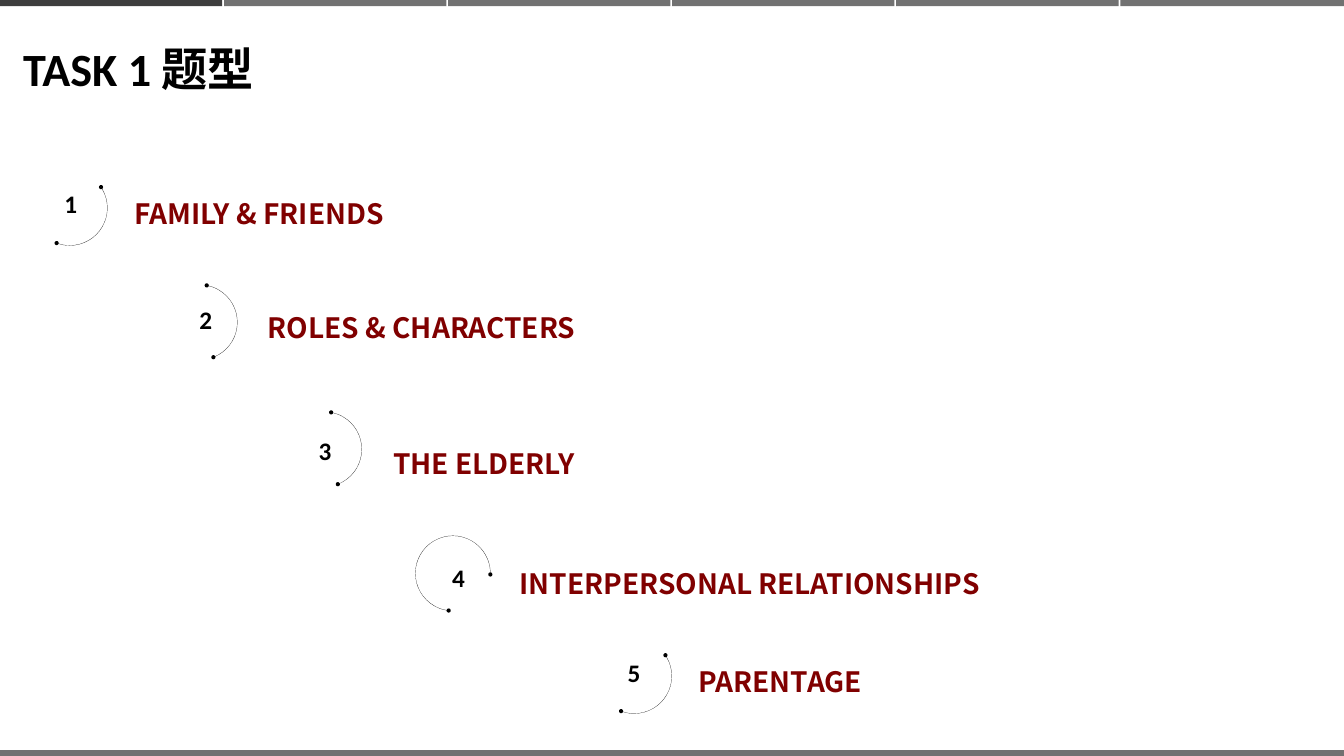
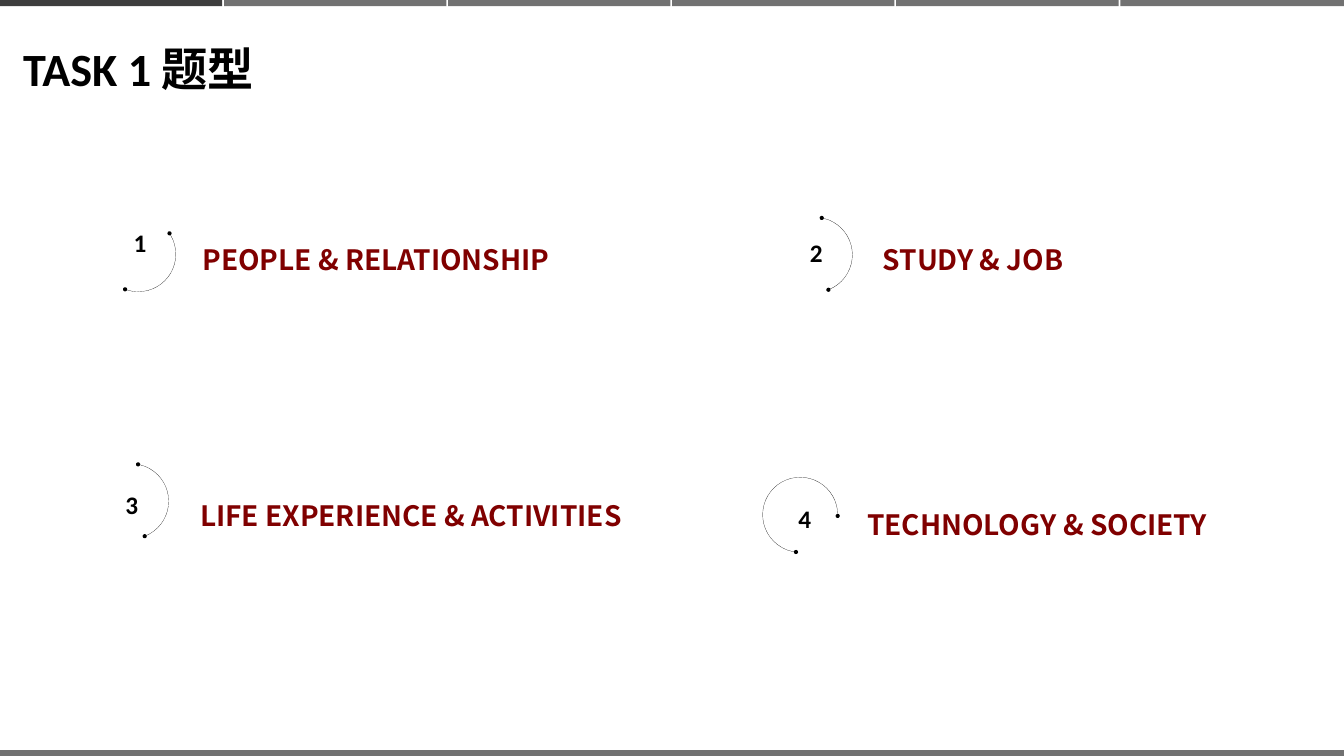
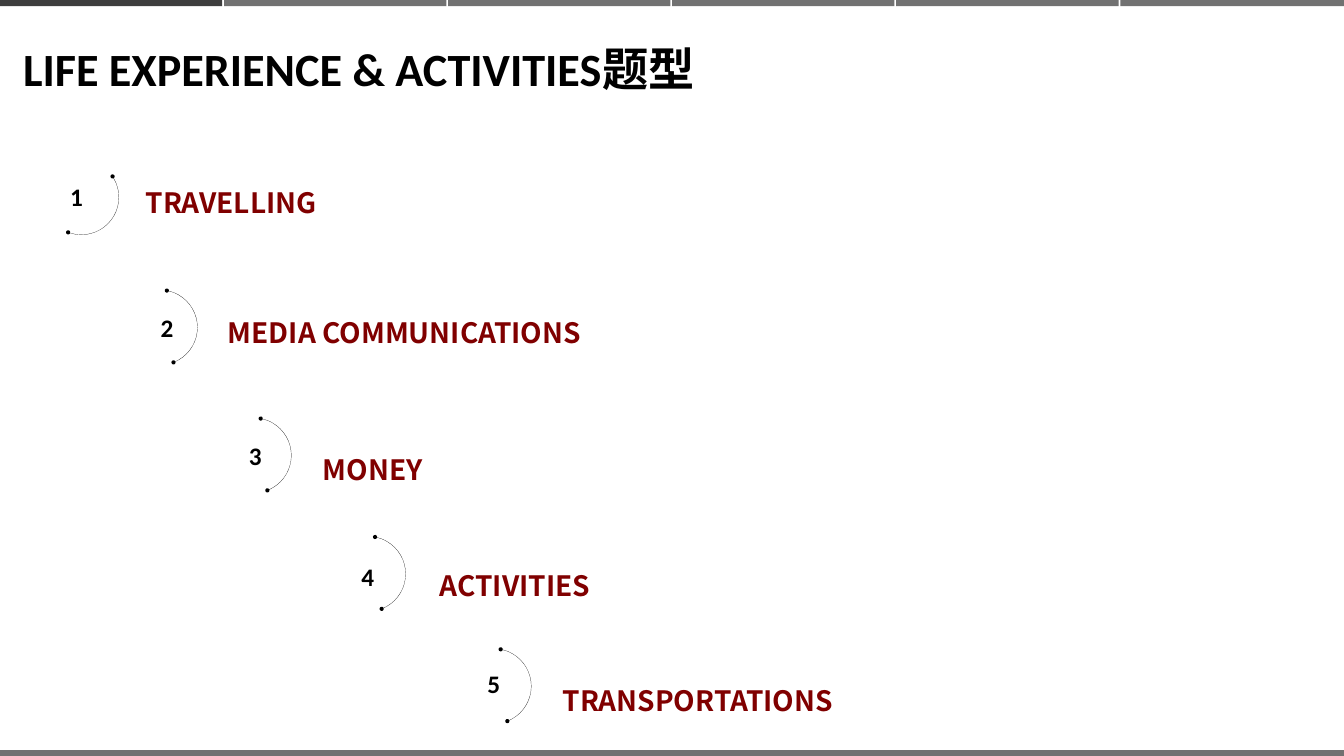
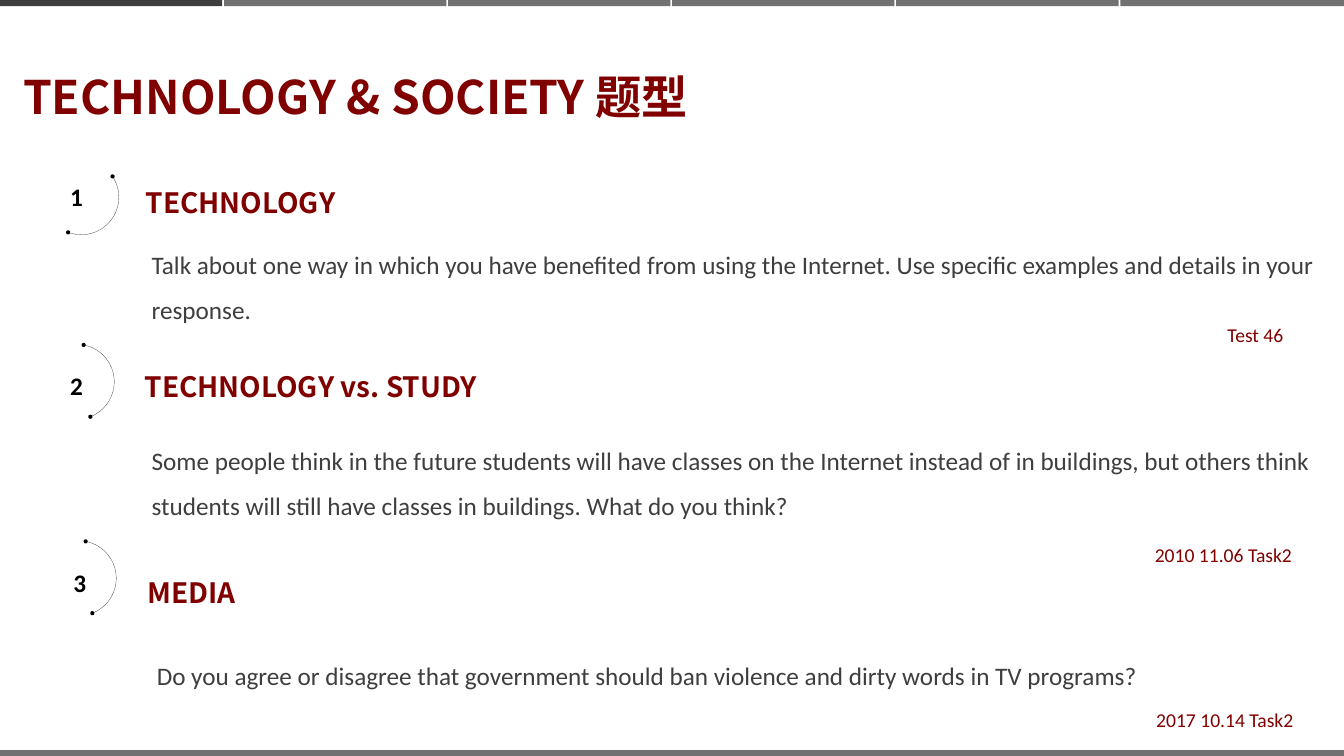
import pptx
import pptx.util
import pptx.oxml
import pptx.oxml.ns
import pptx.dml.color
import pptx.enum.shapes
import pptx.enum.text

Cm = pptx.util.Cm
Pt = pptx.util.Pt
RGBColor = pptx.dml.color.RGBColor
SHAPE = pptx.enum.shapes.MSO_SHAPE

# Shared look
WIDE, HIGH = 67.72, 38.1
BLACK = RGBColor(0x00, 0x00, 0x00)
DARK = RGBColor(0x3E, 0x3E, 0x3E)
GRAY = RGBColor(0x71, 0x71, 0x71)
RED = RGBColor(0x80, 0x00, 0x00)
LATIN = "Calibri"
HAN = "Noto Sans CJK SC"
TABS, STEP, TAB = 6, 11.29, 11.2
RING = 3.78

# Ring kinds: start angle, end angle, label offset right and down
KINDS = {
    "A": (56.25, 200.6, 4.52, 0.17),
    "B": (10.61, 158.8, 4.7, 0.15),
    "C": (10.61, 158.8, 4.75, 0.6),
    "D": (186.43, 91.81, 4.65, 0.38),
    "E": (10.61, 158.8, 4.9, 0.48),
}

# Items: label, kind, ring place, number place and width, label width
TASKS = [
    ("FAMILY & FRIENDS", "A", (1.63, 8.59), (3, 9.35, 1.5), 21.69),
    ("ROLES & CHARACTERS", "B", (8.18, 14.35), (9.8, 15.21, 1.17), 24.41),
    ("THE ELDERLY", "C", (14.45, 20.75), (15.8, 21.82, 5.03), 25.6),
    ("INTERPERSONAL RELATIONSHIPS", "D", (20.93, 27), (22.53, 28.22, 3.4), 29.13),
    ("PARENTAGE", "A", (30.07, 32.18), (31.37, 32.99, 3.07), 21.69),
]
TOPICS = [
    ("PEOPLE & RELATIONSHIP", "A", (5.08, 10.92), (6.48, 11.35, 1.5), 21.69),
    ("STUDY & JOB", "B", (39.17, 10.95), (40.56, 11.81, 1.17), 16.92),
    ("LIFE EXPERIENCE & ACTIVITIES", "C", (4.72, 23.37), (6.07, 24.56, 5.03), 25.6),
    ("TECHNOLOGY & SOCIETY", "D", (38.43, 24.05), (39.98, 25.22, 3.4), 22),
]
LIFE = [
    ("TRAVELLING", "A", (2.21, 8.05), (3.28, 9.02, 1.5), 21.69),
    ("MEDIA COMMUNICATIONS", "B", (6.17, 14.61), (7.85, 15.62, 1.17), 21.34),
    ("MONEY", "C", (10.9, 21.06), (12.29, 22.07, 5.03), 25.6),
    ("ACTIVITIES", "E", (16.66, 27.03), (17.96, 28.14, 1.17), 25.6),
    ("TRANSPORTATIONS", "C", (22.99, 32.69), (24.31, 33.58, 1.17), 25.6),
]
TECH = [
    ("TECHNOLOGY", "A", (2.21, 8.05), (3.28, 9.02, 1.5), 21.69),
    ("TECHNOLOGY vs. STUDY", "B", (1.98, 17.35), (3.28, 18.54, 1.17), 21.62),
    ("MEDIA", "C", (2.08, 27.25), (3.45, 28.47, 5.03), 25.6),
]

# Questions and their sources: text, then left, top, width, height
ASKED = [
    ("Talk about one way in which you have benefited from using the Internet. "
     "Use specific examples and details in your response.", (7.39, 11.68, 60.91, 4.75)),
    ("Some people think in the future students will have classes on the Internet "
     "instead of in buildings, but others think students will still have classes "
     "in buildings. What do you think?", (7.39, 21.56, 60.33, 4.75)),
    ("Do you agree or disagree that government should ban violence and dirty words "
     "in TV programs?", (7.65, 32.41, 50.29, 2.44)),
]
CITED = [
    ("Test 46", (61.6, 16.13, 3.4, 1.45)),
    ("2010 11.06 Task2", (57.94, 27.23, 7.57, 1.45)),
    ("2017 10.14 Task2", (58.01, 35.53, 7.57, 1.45)),
]


def write(box, text, size, color, font=LATIN, bold=False, lines=None, wrap=True):
    frame = box.text_frame
    frame.text = text
    frame.word_wrap = wrap
    frame.auto_size = pptx.enum.text.MSO_AUTO_SIZE.SHAPE_TO_FIT_TEXT
    frame.vertical_anchor = pptx.enum.text.MSO_ANCHOR.TOP
    para = frame.paragraphs[0]
    para.alignment = pptx.enum.text.PP_ALIGN.LEFT
    if lines:
        para.line_spacing = lines
    for run in para.runs:
        run.font.size = Pt(size)
        run.font.bold = bold
        run.font.color.rgb = color
        run.font.name = font
        east = pptx.oxml.parse_xml(
            f'<a:ea {pptx.oxml.ns.nsdecls("a")} typeface="{HAN}"/>')
        run.font._element.append(east)


def add_text(shapes, place, text, size, color, **style):
    box = shapes.add_textbox(*map(Cm, place))
    write(box, text, size, color, **style)
    return box


def add_bar(slide, left, top, width, height, color):
    bar = slide.shapes.add_shape(SHAPE.RECTANGLE, *map(Cm, (left, top, width, height)))
    bar.shadow.inherit = False
    bar.fill.solid()
    bar.fill.fore_color.rgb = color
    bar.line.fill.background()


def add_bands(slide):
    add_bar(slide, 0, 37.8, WIDE, HIGH - 37.8, GRAY)
    for i in range(TABS):
        left = i * STEP
        width = TAB if i < TABS - 1 else WIDE - left
        add_bar(slide, left, -0.02, width, 0.33, GRAY if i else DARK)


def add_ring(shapes, left, top, start, end):
    ring = shapes.add_shape(SHAPE.ARC, Cm(left), Cm(top), Cm(RING), Cm(RING))
    ring.rotation = 270
    # Arc angles are kept in 60000ths of a degree, adjustments in 100000ths
    ring.adjustments[0] = start * 0.6
    ring.adjustments[1] = end * 0.6
    ring.shadow.inherit = False
    ring.fill.background()
    ring.line.color.rgb = BLACK
    ring.line.width = Pt(0.25)
    edge = ring.line._get_or_add_ln()
    for tag in ("headEnd", "tailEnd"):
        edge.append(pptx.oxml.parse_xml(
            f'<a:{tag} {pptx.oxml.ns.nsdecls("a")} type="oval"/>'))


def add_item(slide, number, label, kind, ring, spot, width):
    start, end, right, down = KINDS[kind]
    left, top = ring
    group = slide.shapes.add_group_shape()
    box = add_text(group.shapes, (left + right, top + down, width, 3.02), label,
                   40, RED, font=HAN, bold=True, lines=1.5)
    frame = box.text_frame
    frame.margin_left = frame.margin_right = Cm(0.61)
    frame.margin_top = frame.margin_bottom = Cm(0.3)
    add_ring(group.shapes, left, top, start, end)
    add_text(slide.shapes, (*spot, 1.8), str(number), 36, BLACK, bold=True)


def add_slide(deck, title, items, width=49, height=3.07, color=BLACK, **style):
    slide = deck.slides.add_slide(deck.slide_layouts[5])
    add_bands(slide)
    head = slide.shapes.title
    head.left, head.top, head.width, head.height = map(Cm, (0.91, 1.91, width, height))
    write(head, title, 66, color, bold=True, **style)
    for number, item in enumerate(items, 1):
        add_item(slide, number, *item)
    return slide


def main():
    deck = pptx.Presentation()
    deck.slide_width, deck.slide_height = Cm(WIDE), Cm(HIGH)

    # Topic lists
    add_slide(deck, "TASK 1 题型", TASKS, width=14.43)
    add_slide(deck, "TASK 1 题型", TOPICS, width=14.43)
    add_slide(deck, "LIFE EXPERIENCE & ACTIVITIES题型", LIFE)

    # Sample questions
    slide = add_slide(deck, "TECHNOLOGY & SOCIETY 题型", TECH, height=4.24,
                      color=RED, font=HAN, lines=1.5)
    for text, place in ASKED:
        add_text(slide.shapes, place, text, 36, DARK, lines=1.5)
    for text, place in CITED:
        add_text(slide.shapes, place, text, 28, RED, wrap=False)

    deck.save("out.pptx")


if __name__ == "__main__":
    main()
